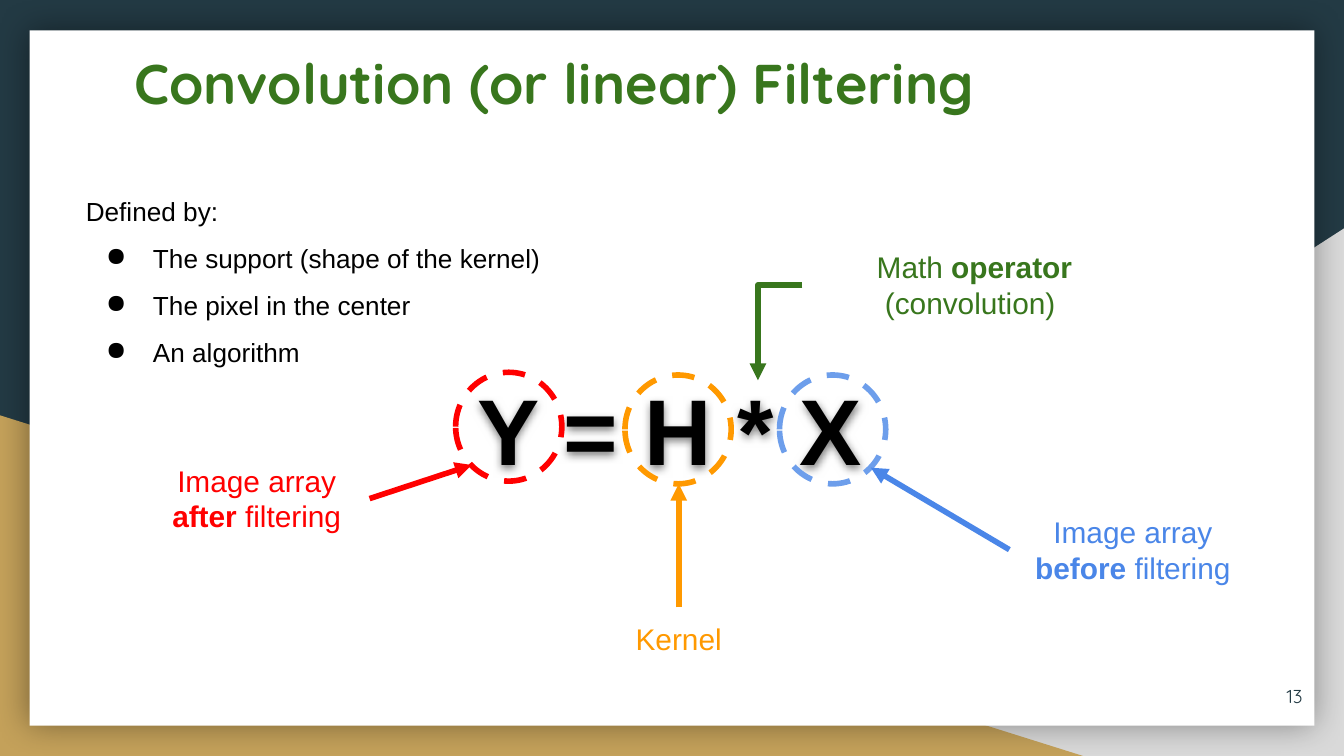
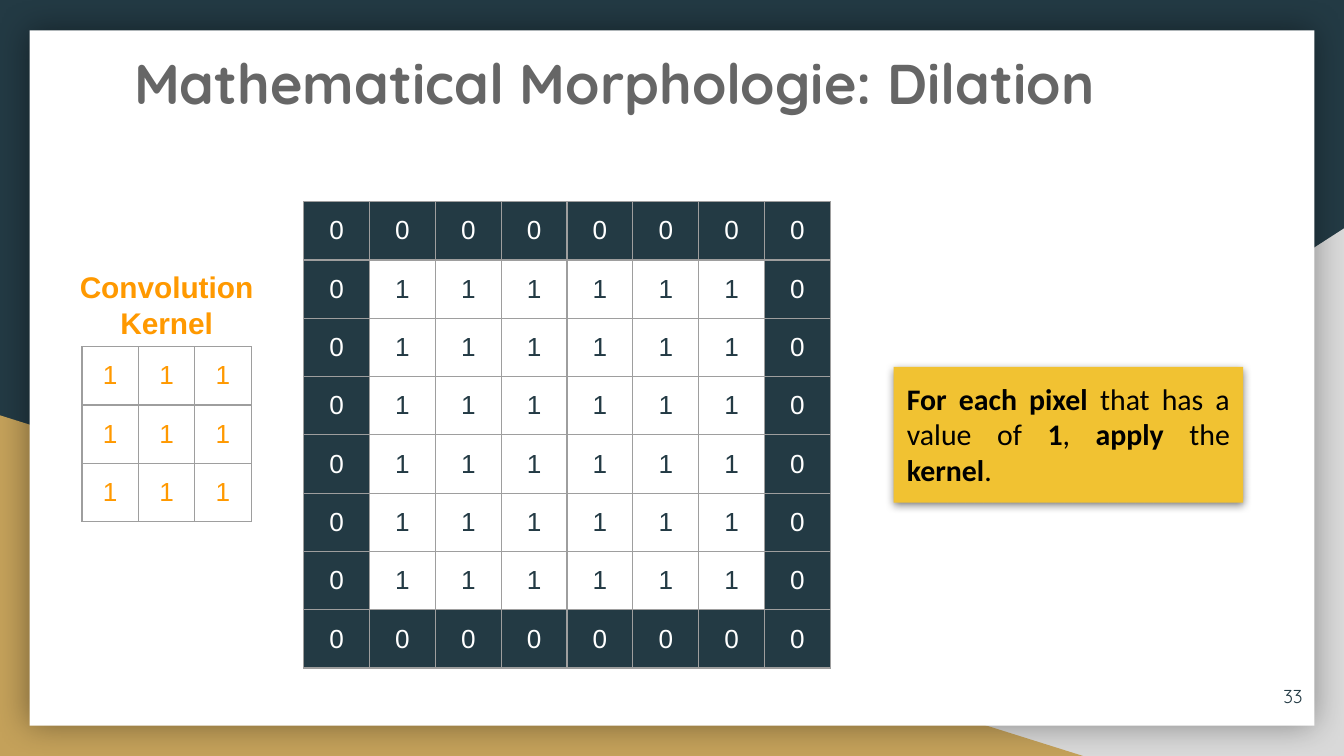
from dataclasses import dataclass

from lxml import etree
from pptx import Presentation, util as u
from pptx.dml.color import RGBColor
from pptx.enum import dml, shapes, text
from pptx.oxml import ns

NAVY = RGBColor(0x23, 0x3A, 0x44)
GOLD = RGBColor(0xC4, 0xA1, 0x5A)
SILVER = RGBColor(0xD9, 0xD9, 0xD9)
WHITE = RGBColor(0xFF, 0xFF, 0xFF)
BLACK = RGBColor(0, 0, 0)
GREEN = RGBColor(0x38, 0x76, 0x1D)
GREY = RGBColor(0x66, 0x66, 0x66)
RED = RGBColor(0xFF, 0, 0)
ORANGE = RGBColor(0xFF, 0x99, 0)
BLUE = RGBColor(0x4A, 0x86, 0xE8)
LIGHT_BLUE = RGBColor(0x6D, 0x9E, 0xEB)
YELLOW = RGBColor(0xF1, 0xC2, 0x32)
BORDER = RGBColor(0x9E, 0x9E, 0x9E)

TITLE_FONT, BODY_FONT, NOTE_FONT = "Quicksand", "Arial", "Calibri"
COLUMNS, ROWS = 100, 56.25
CELL = u.Inches(0.1)
SHAPE, ALIGN, ANCHOR = shapes.MSO_SHAPE, text.PP_ALIGN, text.MSO_ANCHOR


def cells(count):
    return u.Emu(round(count * CELL))


@dataclass
class Box:
    """An area of the slide, measured in grid columns and rows."""
    left: float
    top: float
    width: float
    height: float

    def area(self, left, top, width, height):
        return Box(self.left + left, self.top + top, width, height)

    def point(self, column, row):
        return cells(self.left + column), cells(self.top + row)

    def lengths(self):
        return [cells(n) for n in (self.left, self.top, self.width, self.height)]


def add_child(parent, tag, **attributes):
    return etree.SubElement(parent, ns.qn(tag), {k: str(v) for k, v in attributes.items()})


def add_color(parent, color):
    return add_child(parent, "a:srgbClr", val=color)


def drop_shadow(shape, blur=4.5, distance=1.5, opacity=50):
    effects = shape.element.spPr.find(ns.qn("a:effectLst"))
    if effects is None:
        effects = add_child(shape.element.spPr, "a:effectLst")
    shadow = add_child(effects, "a:outerShdw", blurRad=u.Pt(blur), dist=u.Pt(distance),
                       dir=90 * 60000, algn="bl", rotWithShape=0)
    add_child(add_color(shadow, BLACK), "a:alpha", val=opacity * 1000)


def add_bullet(paragraph, color):
    properties = paragraph._p.get_or_add_pPr()
    properties.set("marL", str(u.Inches(0.5)))
    properties.set("indent", str(-u.Inches(0.35)))
    add_color(add_child(properties, "a:buClr"), color)
    add_child(properties, "a:buChar", char="●")


def write_text(frame, *lines, size=16, color=BLACK, font=BODY_FONT, bold=False,
               align=ALIGN.LEFT, anchor=ANCHOR.TOP, spacing=None, bullets_from=None):
    """Write one paragraph a line; words between ** marks are bold."""
    frame.word_wrap = True
    frame.vertical_anchor = anchor
    frame.margin_left = frame.margin_right = frame.margin_top = frame.margin_bottom = CELL
    for index, line in enumerate(lines):
        paragraph = frame.add_paragraph() if index else frame.paragraphs[0]
        paragraph.alignment = align
        if spacing:
            paragraph.line_spacing = spacing
        if bullets_from is not None and index >= bullets_from:
            add_bullet(paragraph, color)
        for position, words in enumerate(line.split("**")):
            if words:
                run = paragraph.add_run()
                run.text = words
                run.font.size = u.Pt(size)
                run.font.name = font
                run.font.bold = bold or position % 2 == 1
                run.font.color.rgb = color


def add_text(slide, box, *lines, **style):
    shape = slide.shapes.add_textbox(*box.lengths())
    write_text(shape.text_frame, *lines, **style)
    return shape


def add_filled(slide, kind, box, color, flip=False):
    shape = slide.shapes.add_shape(kind, *box.lengths())
    shape.shadow.inherit = False
    shape.fill.solid()
    shape.fill.fore_color.rgb = color
    shape.line.fill.background()
    if flip:
        shape.element.spPr.xfrm.set("flipH", "1")
    return shape


def add_ring(slide, box, color):
    ring = slide.shapes.add_shape(SHAPE.OVAL, *box.lengths())
    ring.shadow.inherit = False
    ring.fill.background()
    ring.line.color.rgb = color
    ring.line.width = u.Pt(3)
    ring.line.dash_style = dml.MSO_LINE.DASH


def add_arrow(slide, start, end, color, bent=False):
    kind = shapes.MSO_CONNECTOR.ELBOW if bent else shapes.MSO_CONNECTOR.STRAIGHT
    arrow = slide.shapes.add_connector(kind, *start, *end)
    arrow.line.color.rgb = color
    arrow.line.width = u.Pt(3)
    properties = arrow.element.spPr
    if bent:
        properties.find(ns.qn("a:prstGeom")).set("prst", "bentConnector2")
    add_child(properties.find(ns.qn("a:ln")), "a:tailEnd", type="triangle")
    add_child(properties, "a:effectLst")


def add_matrix(slide, box, rows, text_colors, fills):
    """Draw a table of digits; colours and fills are looked up by digit."""
    table = slide.shapes.add_table(len(rows), len(rows[0]), *box.lengths()).table
    table.first_row = table.horz_banding = False
    for column in table.columns:
        column.width = cells(box.width / len(rows[0]))
    for table_row, digits in zip(table.rows, rows):
        table_row.height = cells(box.height / len(rows))
        for cell, digit in zip(table_row.cells, digits):
            properties = cell._tc.get_or_add_tcPr()
            for side in ("a:lnL", "a:lnR", "a:lnT", "a:lnB"):
                line = add_child(properties, side, w=u.Pt(0.75))
                add_color(add_child(line, "a:solidFill"), BORDER)
            if digit in fills:
                cell.fill.solid()
                cell.fill.fore_color.rgb = fills[digit]
            else:
                cell.fill.background()
            write_text(cell.text_frame, digit, size=14, color=text_colors[digit],
                       align=ALIGN.CENTER)
            cell.margin_left = cell.margin_right = CELL
            cell.margin_top = cell.margin_bottom = CELL
            cell.vertical_anchor = ANCHOR.MIDDLE


def add_base_slide(presentation, title, title_color, number):
    """Start a slide with the backdrop, white sheet, title and page number."""
    slide = presentation.slides.add_slide(presentation.slide_layouts[6])
    slide.background.fill.solid()
    slide.background.fill.fore_color.rgb = NAVY
    add_filled(slide, SHAPE.RIGHT_TRIANGLE, Box(39.2, 17, 60.8, 39.25), SILVER, flip=True)
    add_filled(slide, SHAPE.RIGHT_TRIANGLE, Box(0, 30.9, 80.6, 25.35), GOLD)
    sheet = Box(2.2, 2.25, 95.6, 51.75)
    drop_shadow(add_filled(slide, SHAPE.RECTANGLE, sheet, WHITE),
                blur=18, distance=0, opacity=40)
    add_text(slide, sheet.area(6.8, 0.35, 88.5, 10.4), title, size=30, color=title_color,
             font=TITLE_FONT, bold=True)
    add_text(slide, sheet.area(89.7, 47.4, 6, 4.3), number, size=10, color=NAVY,
             font=TITLE_FONT, align=ALIGN.RIGHT, anchor=ANCHOR.MIDDLE)
    return slide


def add_equation(slide, box):
    """Draw the formula with a ring, an arrow and a label for each term."""
    formula = add_text(slide, box.area(20.5, 9.2, 37.3, 10.4), "Y = H * X",
                       size=50, bold=True, align=ALIGN.CENTER)
    drop_shadow(formula)
    for left, top, color in ((23.2, 10.2, RED), (35.8, 10.4, ORANGE), (47.3, 10.4, LIGHT_BLUE)):
        add_ring(slide, box.area(left, top, 7.9, 8.1), color)
    terms = (
        ("Image array **after **filtering", (0, 15.9, 16.8, 7.4), (16.8, 19.6), (24.4, 17.1), RED),
        ("Image array **before** filtering", (64.4, 19.7, 18.4, 7.4), (64.4, 23.4), (54.1, 17.3),
         BLUE),
        ("Math **operator **(convolution) ", (49, 0, 25.6, 7.4), (49, 3.7), (45.7, 10.8), GREEN),
        ("Kernel", (31.4, 27.7, 16.8, 4.7), (39.8, 27.7), (39.8, 18.5), ORANGE),
    )
    for label, place, start, end, color in terms:
        add_text(slide, box.area(*place), label, color=color, align=ALIGN.CENTER)
        add_arrow(slide, box.point(*start), box.point(*end), color, bent=color == GREEN)


def add_kernel(slide, box):
    add_text(slide, box.area(0, 0, box.width, 7.4), "Convolution Kernel", color=ORANGE,
             bold=True, align=ALIGN.CENTER)
    add_matrix(slide, box.area(2.1, 6.8, 12.6, 12.9), ["111"] * 3, {"1": ORANGE}, {})


def add_pixels(slide, box):
    edge = "0" * 8
    add_matrix(slide, box, [edge] + ["01111110"] * 6 + [edge],
               {"0": WHITE, "1": NAVY}, {"0": NAVY, "1": WHITE})


def add_note(slide, box):
    note = add_filled(slide, SHAPE.RECTANGLE, box, YELLOW)
    drop_shadow(note)
    write_text(note.text_frame,
               "**For each pixel **that has a value of** 1**,** apply **the** kernel**.",
               font=NOTE_FONT, align=ALIGN.JUSTIFY)


def build_filtering(presentation):
    slide = add_base_slide(presentation, "Convolution (or linear) Filtering", GREEN, "13")
    add_equation(slide, Box(10.7, 17.5, 82.8, 32.4))
    add_text(slide, Box(5.4, 12.4, 36.4, 15), "Defined by:",
             "The support (shape of the kernel)", "The pixel in the center", "An algorithm",
             size=14, spacing=1.5, bullets_from=1)


def build_dilation(presentation):
    slide = add_base_slide(presentation, "Mathematical Morphologie: Dilation", GREY, "33")
    add_kernel(slide, Box(4, 19, 16.8, 19.7))
    add_pixels(slide, Box(22.6, 15, 39.2, 33.4))
    add_note(slide, Box(66.5, 27.3, 26, 10.1))


def main():
    presentation = Presentation()
    presentation.slide_width = cells(COLUMNS)
    presentation.slide_height = cells(ROWS)
    build_filtering(presentation)
    build_dilation(presentation)
    presentation.save("out.pptx")


if __name__ == "__main__":
    main()
